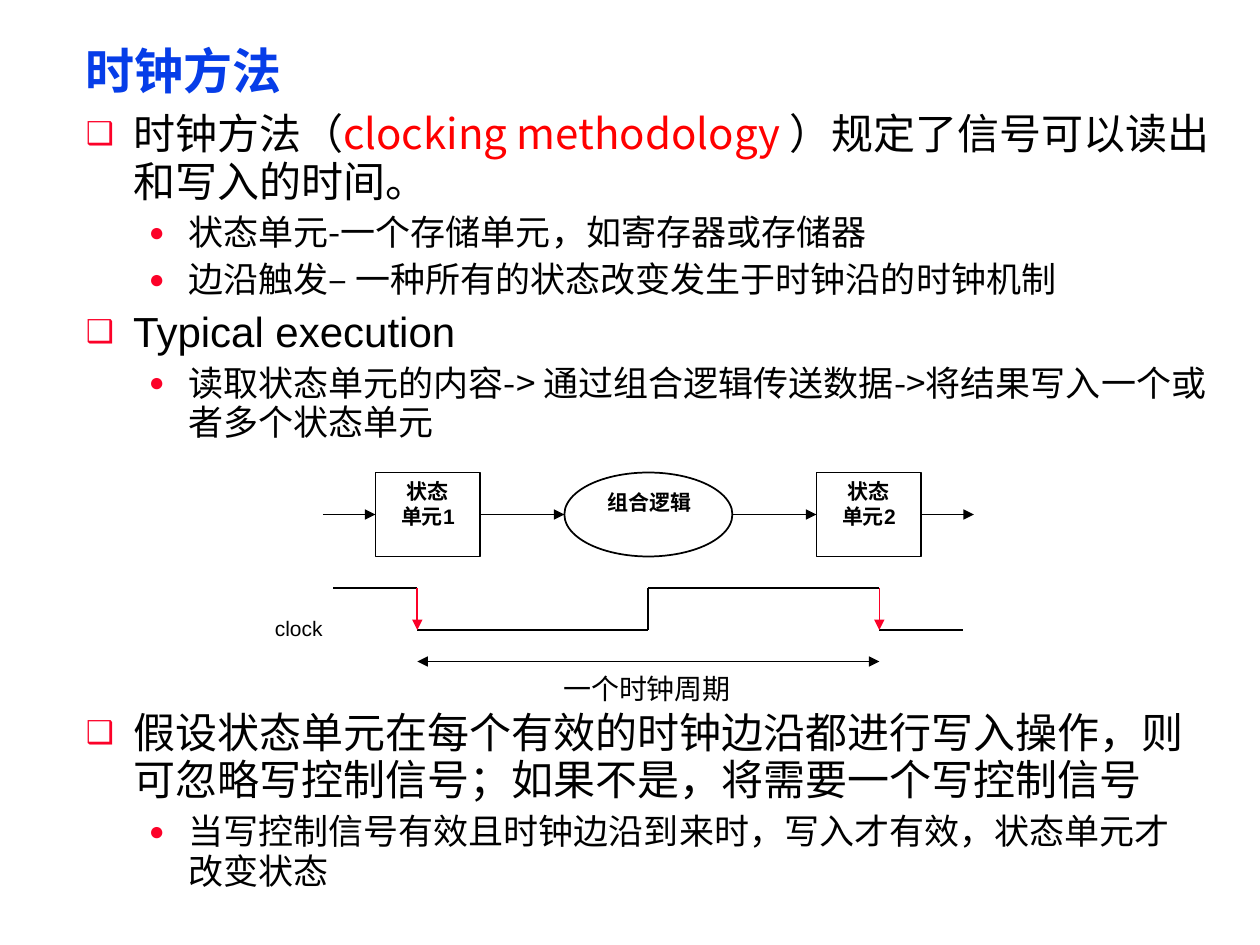
"""Build the slide on clocking methodology with its state-unit diagram and clock wave."""
import pptx
import pptx.dml.color
import pptx.enum.shapes
import pptx.enum.text
import pptx.oxml.ns
import pptx.util
from lxml import etree

Pt = pptx.util.Pt
SHAPE = pptx.enum.shapes.MSO_SHAPE
ALIGN = pptx.enum.text.PP_ALIGN
BLACK, RED, ACCENT, BLUE = "000000", "FF0000", "FC0128", "063DE8"
CJK, LATIN = "Noto Sans CJK SC", "Arial"

TITLE = "时钟方法"
RULES = [
    (0, CJK, [("时钟方法（", BLACK), ("clocking methodology ", RED),
              ("）规定了信号可以读出和写入的时间。", BLACK)]),
    (1, CJK, [("状态单元-一个存储单元，如寄存器或存储器", BLACK)]),
    (1, CJK, [("边沿触发– 一种所有的状态改变发生于时钟沿的时钟机制", BLACK)]),
    (0, LATIN, [("Typical execution", BLACK)]),
    (1, CJK, [("读取状态单元的内容-> 通过组合逻辑传送数据->将结果写入一个或者多个状态单元", BLACK)]),
]
WRITE_CONTROL = [
    (0, CJK, [("假设状态单元在每个有效的时钟边沿都进行写入操作，则可忽略写控制信号；"
               "如果不是，将需要一个写控制信号", BLACK)]),
    (1, CJK, [("当写控制信号有效且时钟边沿到来时，写入才有效，状态单元才改变状态", BLACK)]),
]
LEVELS = [
    {"size": 24, "bullet": "❑", "margin": 27, "indent": -27},
    {"size": 20, "bullet": "●", "margin": 58.5, "indent": -22.5},
]

STAGES = [
    (SHAPE.RECTANGLE, 214.5, 60, ["状态", "单元1"], (222, 270, 45, 36), True),
    (SHAPE.OVAL, 322.5, 96, ["组合逻辑"], (339.5, 276, 63.5, 21.5), False),
    (SHAPE.RECTANGLE, 466.5, 60, ["状态", "单元2"], (474, 270, 45, 36), True),
]
STAGE_TOP, STAGE_HEIGHT, LEAD = 270, 48, 30
HIGH, LOW, PERIOD_Y = 336, 360, 378
WAVE_START, FIRST_EDGE, RISE, SECOND_EDGE, WAVE_END = 190.5, 238.5, 370.5, 502.5, 550.5
WAVE = [
    (WAVE_START, HIGH, FIRST_EDGE, HIGH), (FIRST_EDGE, LOW, RISE, LOW),
    (RISE, HIGH, RISE, LOW), (RISE, HIGH, SECOND_EDGE, HIGH),
    (SECOND_EDGE, LOW, WAVE_END, LOW),
]


def rgb(value):
    return pptx.dml.color.RGBColor.from_string(value)


def apply(target, values):
    for name, value in values.items():
        setattr(target, name, value)


def add_element(parent, tag, **attributes):
    return etree.SubElement(parent, pptx.oxml.ns.qn(tag), **attributes)


def add_run(paragraph, words, typeface, size, color, bold=False):
    run = paragraph.add_run()
    run.text = words
    apply(run.font, {"name": typeface, "size": Pt(size), "bold": bold})
    run.font.color.rgb = rgb(color)
    add_element(run.font._element, "a:ea", typeface=CJK)


def add_frame(slide, place, wrap=True):
    frame = slide.shapes.add_textbox(*map(Pt, place)).text_frame
    frame.word_wrap = wrap
    return frame


def add_label(slide, place, lines, typeface, size, bold=False, wrap=False):
    frame = add_frame(slide, place, wrap)
    for index, words in enumerate(lines):
        paragraph = frame.add_paragraph() if index else frame.paragraphs[0]
        paragraph.alignment = ALIGN.CENTER
        add_run(paragraph, words, typeface, size, BLACK, bold)


def add_bullets(slide, place, points):
    frame = add_frame(slide, place)
    for index, (level, typeface, parts) in enumerate(points):
        look = LEVELS[level]
        paragraph = frame.add_paragraph() if index else frame.paragraphs[0]
        properties = paragraph._p.get_or_add_pPr()
        apply_indent = {"marL": look["margin"], "indent": look["indent"]}
        for name, value in apply_indent.items():
            properties.set(name, str(int(Pt(value))))
        add_element(add_element(properties, "a:buClr"), "a:srgbClr", val=ACCENT)
        add_element(properties, "a:buSzPct", val="75000")
        add_element(properties, "a:buFont", typeface=LATIN)
        add_element(properties, "a:buChar", char=look["bullet"])
        apply(paragraph, {"level": level, "line_spacing": 0.95,
                          "space_before": Pt(look["size"] * 0.2 if index else 0)})
        for words, color in parts:
            add_run(paragraph, words, typeface, look["size"], color)


def add_line(slide, ends, color=BLACK, arrows=()):
    line = slide.shapes.add_connector(
        pptx.enum.shapes.MSO_CONNECTOR.STRAIGHT, *map(Pt, ends))
    line.line.width = Pt(1)
    line.line.color.rgb = rgb(color)
    for end in arrows:
        add_element(line.line._get_or_add_ln(), end, type="triangle")
    add_element(line._element.spPr, "a:effectLst")


def add_stage(slide, outline, left, width, lines, label_place, wrap):
    stage = slide.shapes.add_shape(
        outline, *map(Pt, (left, STAGE_TOP, width, STAGE_HEIGHT)))
    stage.shadow.inherit = False
    stage.fill.background()
    stage.line.width = Pt(1)
    stage.line.color.rgb = rgb(BLACK)
    add_label(slide, label_place, lines, LATIN, 12, True, wrap)


def main():
    deck = pptx.Presentation()
    apply(deck, {"slide_width": Pt(720), "slide_height": Pt(540)})
    slide = deck.slides.add_slide(deck.slide_layouts[6])

    heading = add_frame(slide, (42, 24, 642, 36.5))
    heading.vertical_anchor = pptx.enum.text.MSO_ANCHOR.MIDDLE
    heading.paragraphs[0].line_spacing = 0.87
    add_run(heading.paragraphs[0], TITLE, LATIN, 28, BLUE, True)
    add_bullets(slide, (42, 60, 660, 327.5), RULES)

    for stage in STAGES:
        add_stage(slide, *stage)
    lefts = [left for _, left, *_ in STAGES]
    rights = [left + width for _, left, width, *_ in STAGES]
    starts = [lefts[0] - LEAD] + rights
    stops = lefts + [rights[-1] + LEAD]
    wire_y = STAGE_TOP + STAGE_HEIGHT / 2
    for start, stop in zip(starts, stops):
        add_line(slide, (start, wire_y, stop, wire_y), arrows=["a:tailEnd"])

    for segment in WAVE:
        add_line(slide, segment)
    for edge in (FIRST_EDGE, SECOND_EDGE):
        add_line(slide, (edge, HIGH, edge, LOW), ACCENT, ["a:tailEnd"])
    add_line(slide, (FIRST_EDGE, PERIOD_Y, SECOND_EDGE, PERIOD_Y),
             arrows=["a:headEnd", "a:tailEnd"])
    add_label(slide, (150, 348, 41.5, 21.5), ["clock"], LATIN, 12)
    add_label(slide, (314, 380, 111.5, 26.5), ["一个时钟周期"], CJK, 16)

    add_bullets(slide, (42, 402, 648, 120), WRITE_CONTROL)
    deck.save("out.pptx")


if __name__ == "__main__":
    main()
